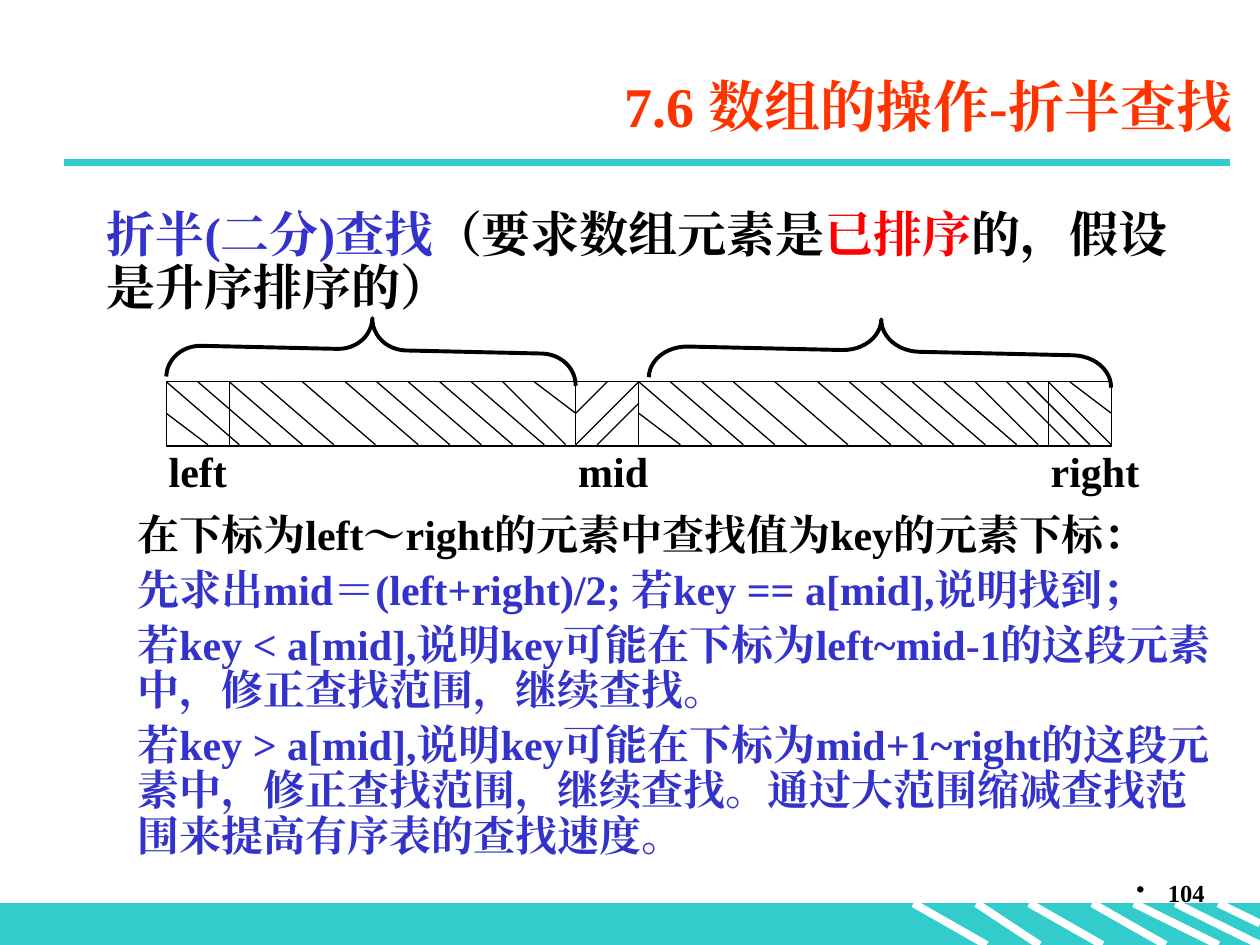
from dataclasses import dataclass

from lxml.etree import SubElement
from pptx import Presentation
from pptx.dml.color import RGBColor
from pptx.enum.shapes import MSO_CONNECTOR as Connector, MSO_SHAPE as Preset
from pptx.enum.text import MSO_ANCHOR as Anchor, MSO_AUTO_SIZE as AutoSize, PP_ALIGN as Align
from pptx.oxml.ns import qn
from pptx.util import Inches, Pt


@dataclass(frozen=True)
class Theme:
    font: str = "Times New Roman"
    teal: str = "33CCCC"
    white: str = "FFFFFF"
    black: str = "000000"
    blue: str = "3333CC"
    red: str = "FF0000"
    orange: str = "FF3300"
    title: int = 32
    lead: int = 28
    body: int = 24
    number: int = 14
    thin: float = 0.75
    brace: float = 2.25
    thick: float = 4.5


theme = Theme()

# Content: each paragraph is a list of (text, colour) runs
TITLE = [[("7.6 数组的操作-折半查找", theme.orange)]]
LEAD = [[
    ("折半(二分)查找", theme.blue),
    ("（要求数组元素是", theme.black),
    ("已排序", theme.red),
    ("的，假设是升序排序的）", theme.black),
]]
STEPS = [
    [("在下标为left～right的元素中查找值为key的元素下标：", theme.black)],
    [("先求出mid＝(left+right)/2; 若key == a[mid],说明找到；", theme.blue)],
    [("若key < a[mid],说明key可能在下标为left~mid-1的这段元素中，"
      "修正查找范围，继续查找。", theme.blue)],
    [("若key > a[mid],说明key可能在下标为mid+1~right的这段元素中，"
      "修正查找范围，继续查找。通过大范围缩减查找范围来提高有序表的查找速度。", theme.blue)],
]
PAGE_NUMBER = [[("104", theme.black)]]

# Array diagram, in inches
LEFT, TOP, WIDTH, HEIGHT, CELL = 1.32, 3.03, 7.5, 0.5, 0.5
RIGHT, BOTTOM = LEFT + WIDTH, TOP + HEIGHT
MID = LEFT + 3.25
AFTER_MID = MID + CELL
LABELS = [("left", LEFT, 0.67), ("mid", MID, 1.08), ("right", RIGHT - CELL, 1.08)]
BRACES = [((2.7, 1.15, 0.5, 3.25), 0.545), ((6.74, 0.95, 0.5, 3.67), 0.615)]
HATCH_STARTS = [0, 0.25, 0.5, 0.75, 1.08, 1.42, 1.67, 1.92, 2.17, 2.42]
HATCH_RUN = 0.58
RIGHT_END_STARTS = [2.92, 3.08, 3.25]

# Footer stripes: left end and run
FOOTER_TOP, FOOTER_HEIGHT = 7.17, 0.33
STRIPES = [(7.25, 0.58), (7.75, 0.5), (8.17, 0.58), (8.67, 0.58), (9, 0.67), (9.33, 0.67)]


def color(value):
    return RGBColor.from_string(value)


def add_line(page, start, end, line_color=theme.black, width=theme.thin):
    line = page.shapes.add_connector(
        Connector.STRAIGHT, *(Inches(value) for value in (*start, *end)))
    line.line.color.rgb = color(line_color)
    line.line.width = Pt(width)
    SubElement(line._element.spPr, qn("a:effectLst"))


def add_preset(page, preset, place, fill=None, line_color=theme.black, width=theme.thin):
    shape = page.shapes.add_shape(preset, *(Inches(value) for value in place))
    shape.shadow.inherit = False
    if fill:
        shape.fill.solid()
        shape.fill.fore_color.rgb = color(fill)
    else:
        shape.fill.background()
    shape.line.color.rgb = color(line_color)
    shape.line.width = Pt(width)
    return shape


def set_bullet(para, character=None, indent=0):
    properties = para._p.get_or_add_pPr()
    properties.set("marL", str(Inches(indent)))
    properties.set("indent", str(-Inches(indent)))
    if character:
        SubElement(properties, qn("a:buChar")).set("char", character)
    else:
        SubElement(properties, qn("a:buNone"))


def write(box, place, paragraphs, size, align=Align.LEFT, anchor=Anchor.TOP,
          spacing=1.0, gap=0):
    box.left, box.top, box.width, box.height = (Inches(value) for value in place)
    frame = box.text_frame
    frame.word_wrap = True
    frame.auto_size = AutoSize.NONE
    frame.vertical_anchor = anchor
    for index, runs in enumerate(paragraphs):
        para = frame.add_paragraph() if index else frame.paragraphs[0]
        para.alignment = align
        para.line_spacing = spacing
        para.space_before = Pt(gap if index else 0)
        for text, run_color in runs:
            span = para.add_run()
            span.text = text
            span.font.name = theme.font
            span.font.size = Pt(size)
            span.font.bold = True
            span.font.color.rgb = color(run_color)
            SubElement(span._r.get_or_add_rPr(), qn("a:ea")).set("typeface", theme.font)
    return frame


def add_text(page, place, *args, **options):
    box = page.shapes.add_textbox(0, 0, 0, 0)
    return write(box, place, *args, **options)


def draw_frame(page):
    # Footer band with stripes, and the rule under the title
    add_preset(page, Preset.RECTANGLE, (0, FOOTER_TOP, 10, FOOTER_HEIGHT),
               theme.teal, theme.teal)
    for x, run in STRIPES:
        add_line(page, (x, FOOTER_TOP), (x + run, FOOTER_TOP + FOOTER_HEIGHT),
                 theme.white, theme.thick)
    add_line(page, (9.67, FOOTER_TOP), (10, 7.33), theme.white, theme.thick)
    add_line(page, (0.51, 1.29), (9.76, 1.29), theme.teal, theme.thick)
    number = add_text(page, (7.58, 6.92, 2.08, 0.5), PAGE_NUMBER, theme.number,
                      align=Align.RIGHT)
    set_bullet(number.paragraphs[0], "•", 0.25)


def draw_array(page):
    # Outline and cell borders
    add_preset(page, Preset.RECTANGLE, (LEFT, TOP, WIDTH, HEIGHT + 0.01))
    for x in (LEFT + CELL, MID, AFTER_MID, RIGHT - CELL):
        add_line(page, (x, TOP), (x, BOTTOM))

    # Hatching of the two halves
    middle = TOP + HEIGHT / 2
    for origin, end in ((LEFT, MID), (AFTER_MID, RIGHT)):
        for start in HATCH_STARTS:
            add_line(page, (origin + start, TOP), (origin + start + HATCH_RUN, BOTTOM))
        add_line(page, (origin + 2.67, TOP), (origin + 2.67 + CELL, BOTTOM))
        add_line(page, (origin, middle), (origin + 0.33, BOTTOM))
        add_line(page, (end - 0.33, TOP), (end, middle))
    for start in RIGHT_END_STARTS:
        x = AFTER_MID + start
        add_line(page, (x, TOP), (x + CELL, BOTTOM))

    # Opposite hatching of the middle cell
    add_line(page, (MID + CELL / 2, TOP), (MID, middle))
    add_line(page, (AFTER_MID, TOP), (MID, BOTTOM))
    add_line(page, (AFTER_MID, TOP + 0.17), (MID + 0.17, BOTTOM))

    # Braces and index labels
    for place, curve in BRACES:
        brace = add_preset(page, Preset.RIGHT_BRACE, place, width=theme.brace)
        brace.rotation = 271.3
        brace.adjustments[0] = curve
    for text, x, width in LABELS:
        label = add_text(page, (x - 0.08, BOTTOM, width, 0.5),
                         [[(text, theme.black)]], theme.body, spacing=0.9)
        label.margin_right = 0


def main():
    deck = Presentation()
    deck.slide_width, deck.slide_height = Inches(10), Inches(7.5)
    page = deck.slides.add_slide(deck.slide_layouts[1])
    draw_frame(page)
    write(page.shapes.title, (1.38, 0.44, 8.5, 0.79), TITLE, theme.title,
          align=Align.RIGHT, anchor=Anchor.MIDDLE)
    add_text(page, (0.75, 1.62, 8.83, 0.95), LEAD, theme.lead, spacing=0.9)
    steps = write(page.placeholders[1], (0.99, 4.03, 8.75, 2.9), STEPS, theme.body,
                  spacing=0.9, gap=5.5)
    for para in steps.paragraphs:
        set_bullet(para)
    draw_array(page)
    deck.save("out.pptx")


if __name__ == "__main__":
    main()
